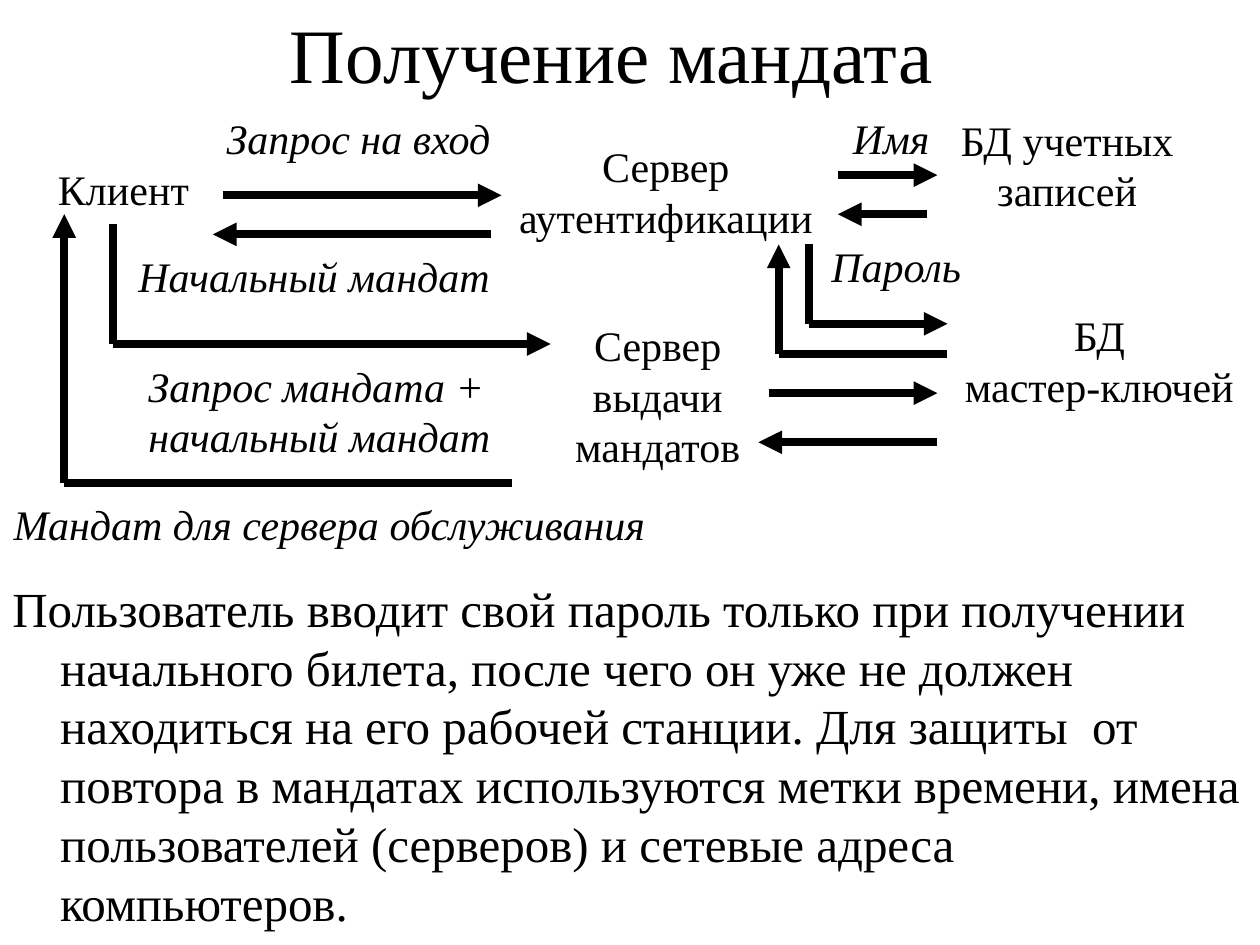
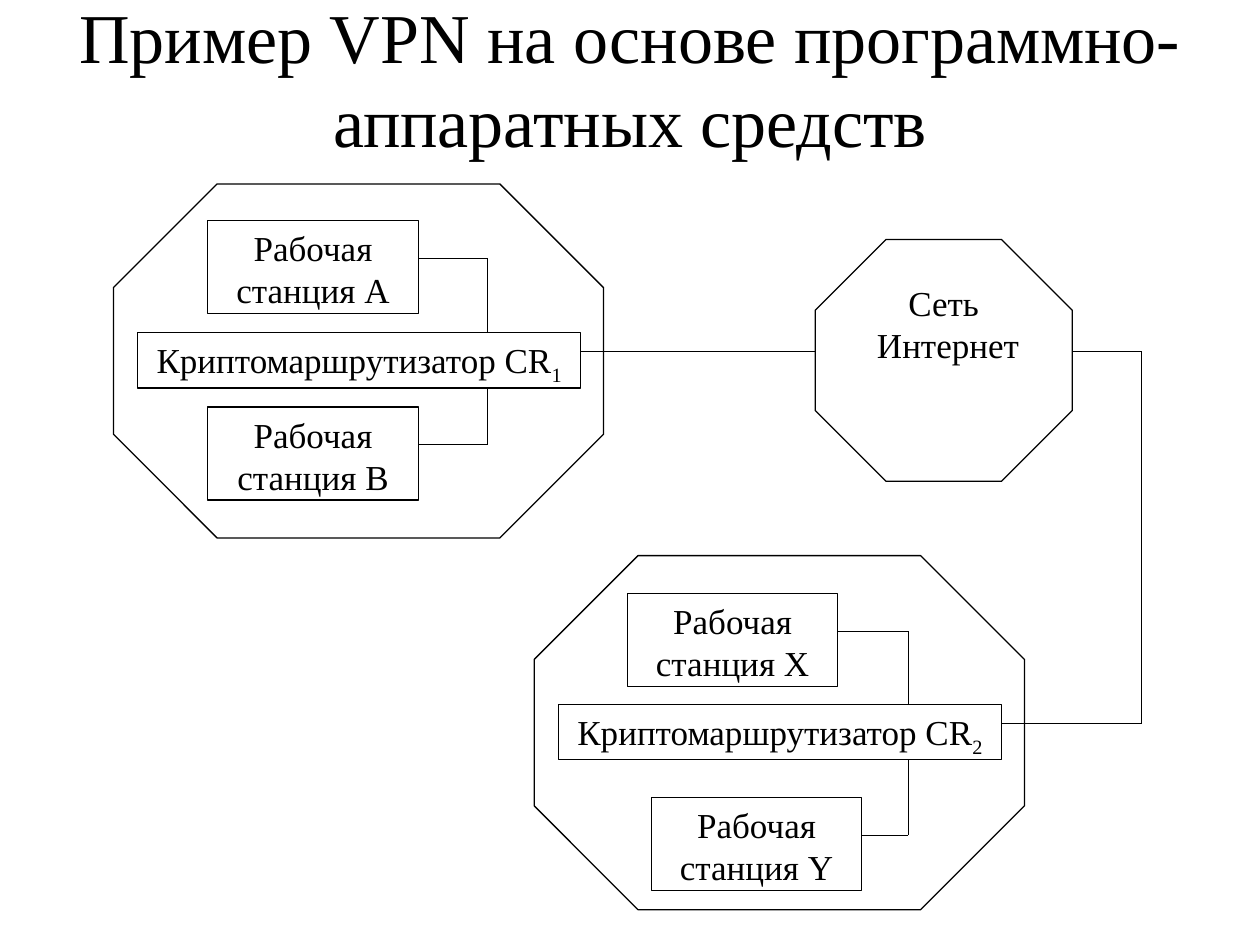
import pptx
import pptx.dml.color
import pptx.enum.shapes
import pptx.enum.text
import pptx.oxml.ns
import pptx.util
import lxml.etree

Inches = pptx.util.Inches
Pt = pptx.util.Pt
SHAPES = pptx.enum.shapes.MSO_SHAPE
ALIGN = pptx.enum.text.PP_ALIGN
ANCHOR = pptx.enum.text.MSO_ANCHOR
qn = pptx.oxml.ns.qn

BLACK = pptx.dml.color.RGBColor(0x00, 0x00, 0x00)
WHITE = pptx.dml.color.RGBColor(0xFF, 0xFF, 0xFF)
FONT = "Times New Roman"


class Deck:
    def __init__(self):
        self.presentation = pptx.Presentation()
        self.presentation.slide_width = Inches(10)
        self.presentation.slide_height = Inches(7.5)
        self.slide = None

    def add_slide(self):
        self.slide = self.presentation.slides.add_slide(self.presentation.slide_layouts[6])
        background = self.slide.background.fill
        background.solid()
        background.fore_color.rgb = WHITE

    def fill_text(self, frame, text, size, align, italic=False, subscript=""):
        paragraph = frame.paragraphs[0]
        paragraph.text = text
        paragraph.alignment = align
        if subscript:
            index = paragraph.add_run()
            index.text = subscript
            index.font._element.set("baseline", "-25000")
        for run in paragraph.runs:
            run.font.name = FONT
            run.font.size = Pt(size)
            run.font.italic = italic
            run.font.color.rgb = BLACK
        return paragraph

    def text_box(self, left, top, width, height):
        box = self.slide.shapes.add_textbox(*map(Inches, (left, top, width, height)))
        box.text_frame.word_wrap = True
        return box.text_frame

    def title(self, text, size, left, width, height):
        frame = self.text_box(left, 0, width, height)
        frame.vertical_anchor = ANCHOR.MIDDLE
        self.fill_text(frame, text, size, ALIGN.CENTER)

    def body(self, text, left, top, width, height):
        frame = self.text_box(left, top, width, height)
        paragraph = self.fill_text(frame, text, 28, ALIGN.LEFT)
        paragraph.space_before = Pt(7)
        properties = paragraph._p.get_or_add_pPr()
        properties.set("marL", str(Inches(0.38)))
        properties.set("indent", str(Inches(-0.38)))

    def label(self, text, left, top, width, align=ALIGN.LEFT, italic=False):
        height = 0.1 + 0.4 * len(text.split("\v"))
        frame = self.text_box(left, top, width, height)
        frame.word_wrap = False
        frame.auto_size = pptx.enum.text.MSO_AUTO_SIZE.SHAPE_TO_FIT_TEXT
        self.fill_text(frame, text, 24, align, italic)

    def route(self, *points, weight=0.75, arrow=False):
        for start, end in zip(points, points[1:]):
            connector = self.slide.shapes.add_connector(
                pptx.enum.shapes.MSO_CONNECTOR.STRAIGHT, *map(Inches, start + end))
            connector.line.color.rgb = BLACK
            connector.line.width = Pt(weight)
            lxml.etree.SubElement(connector._element.spPr, qn("a:effectLst"))
            if arrow and end == points[-1]:
                line = connector.line._get_or_add_ln()
                lxml.etree.SubElement(line, qn("a:tailEnd"), type="triangle")

    def block(self, kind, left, top, width, height, text="", subscript=""):
        shape = self.slide.shapes.add_shape(kind, *map(Inches, (left, top, width, height)))
        shape.shadow.inherit = False
        shape.fill.solid()
        shape.fill.fore_color.rgb = WHITE
        shape.line.color.rgb = BLACK
        shape.line.width = Pt(0.75)
        if kind == SHAPES.OCTAGON:
            shape.adjustments[0] = 0.293
        if text:
            shape.text_frame.word_wrap = True
            shape.text_frame.vertical_anchor = ANCHOR.TOP
            self.fill_text(shape.text_frame, text, 20, ALIGN.CENTER, subscript=subscript)

    def network(self, left, top, number, stations):
        bus = left + 2.97
        router_top = top + 1.18
        router_bottom = router_top + 0.44
        self.block(SHAPES.OCTAGON, left, top, 3.89, 2.81)
        self.block(SHAPES.RECTANGLE, left + 0.19, router_top, 3.52, 0.44,
                   "Криптомаршрутизатор CR", number)
        for (name, dx, dy), router_edge in zip(stations, (router_top, router_bottom)):
            self.block(SHAPES.RECTANGLE, left + dx, top + dy, 1.67, 0.74,
                       f"Рабочая станция {name}")
            link = top + dy + 0.3
            self.route((left + dx + 1.67, link), (bus, link), (bus, router_edge))


def ticket_slide(deck):
    deck.add_slide()
    deck.title("Получение мандата ", 44, 0.43, 9, 0.84)
    deck.body("Пользователь вводит свой пароль только при получении начального билета, "
              "после чего он уже не должен находиться на его рабочей станции. "
              "Для защиты  от повтора в мандатах используются метки времени, "
              "имена пользователей (серверов) и сетевые адреса компьютеров.",
              0, 4.54, 10, 2.96)

    parties = (
        ("Клиент", 0.36, 1.25, 1.24),
        ("Сервер\vаутентификации", 4.01, 1.07, 2.55),
        ("БД учетных\vзаписей", 7.52, 0.86, 1.9),
        ("БД\vмастер-ключей", 7.55, 2.41, 2.35),
        ("Сервер\vвыдачи\vмандатов", 4.46, 2.49, 1.52),
    )
    for party in parties:
        deck.label(*party, align=ALIGN.CENTER)

    messages = (
        ("Запрос на вход", 1.7, 0.84, 2.3),
        ("Имя", 6.67, 0.84, 0.81),
        ("Пароль", 6.5, 1.86, 1.24),
        ("Начальный мандат", 1, 1.94, 2.99),
        ("Запрос мандата +\vначальный мандат", 1.08, 2.81, 2.91),
        ("Мандат для сервера обслуживания", 0.01, 3.91, 5.24),
    )
    for message in messages:
        deck.label(*message, italic=True)

    exchanges = (
        ((1.77, 1.55), (3.98, 1.55)),
        ((3.9, 1.86), (1.69, 1.86)),
        ((6.65, 1.39), (7.44, 1.39)),
        ((7.36, 1.7), (6.65, 1.7)),
        ((6.42, 1.94), (6.42, 2.57), (7.52, 2.57)),
        ((7.52, 2.81), (6.18, 2.81), (6.18, 1.94)),
        ((0.9, 1.78), (0.9, 2.73), (4.37, 2.73)),
        ((4.06, 3.83), (0.51, 3.83), (0.51, 1.7)),
        ((6.1, 3.12), (7.44, 3.12)),
        ((7.44, 3.51), (6.02, 3.51)),
    )
    for exchange in exchanges:
        deck.route(*exchange, weight=4.5, arrow=True)


def vpn_slide(deck):
    deck.add_slide()
    deck.title("Пример VPN на основе программно-аппаратных средств", 40, 0, 10, 1.23)
    deck.network(0.9, 1.46, "1", (("A", 0.75, 0.29), ("B", 0.75, 1.77)))
    deck.network(4.24, 4.41, "2", (("X", 0.74, 0.3), ("Y", 0.93, 1.92)))
    deck.block(SHAPES.OCTAGON, 6.47, 1.9, 2.04, 1.92, "Сеть\v Интернет")
    deck.route((4.61, 2.79), (6.47, 2.79))
    deck.route((8.51, 2.79), (9.06, 2.79), (9.06, 5.74), (7.95, 5.74))


def main():
    deck = Deck()
    ticket_slide(deck)
    vpn_slide(deck)
    deck.presentation.save("out.pptx")


if __name__ == "__main__":
    main()
